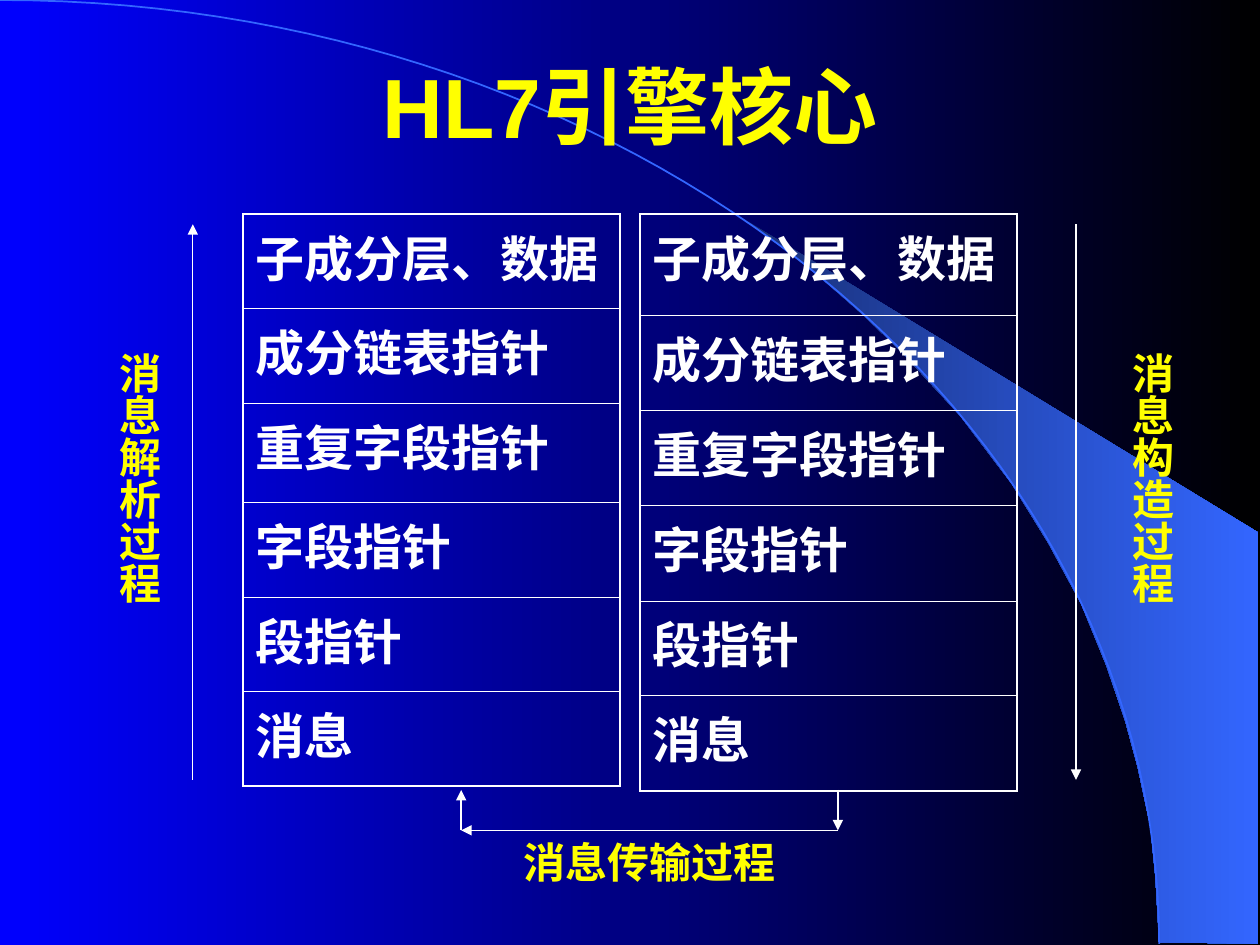
import pptx
import pptx.dml.color
import pptx.enum.shapes
import pptx.enum.text
import pptx.oxml
import pptx.oxml.ns
import pptx.util
from pptx.util import Inches

WHITE, YELLOW, BLUE = "FFFFFF", "FFFF00", "3366FF"


def color(hex_string):
    return pptx.dml.color.RGBColor.from_string(hex_string)


def style(paragraph, size, font_name, hex_string):
    for span in paragraph.runs:
        span.font.size = pptx.util.Pt(size)
        span.font.name = font_name
        span.font.bold = True
        span.font.color.rgb = color(hex_string)


deck = pptx.Presentation()
deck.slide_width, deck.slide_height = Inches(10), Inches(7.5)
page = deck.slides.add_slide(deck.slide_layouts[6])
shapes = page.shapes

# Background decoration: beam and arc
beam_points = [
    (9.2, 7.48), (9.99, 7.49), (9.99, 4.23), (5.89, 1.73), (6.24, 1.99),
    (6.53, 2.22), (6.85, 2.5), (7.16, 2.8), (7.62, 3.3), (8.03, 3.84),
    (8.32, 4.31), (8.58, 4.79), (8.78, 5.28), (8.93, 5.72), (9.03, 6.09),
    (9.13, 6.56), (9.17, 6.96),
]
arc_points = []
steps = 60
for step in range(steps + 1):
    t = step / steps
    x = 3 * (1 - t) ** 2 * t * 5.08 + 3 * (1 - t) * t ** 2 * 9.2 + t ** 3 * 9.2
    y = 3 * (1 - t) * t ** 2 * 3.35 + t ** 3 * 7.49
    arc_points.append((x, y))

outlines = []
for points, closed in ((beam_points, True), (arc_points, False)):
    corners = [(Inches(x), Inches(y)) for x, y in points]
    builder = shapes.build_freeform(*corners[0], scale=1.0)
    builder.add_line_segments(corners[1:], close=closed)
    outline = builder.convert_to_shape()
    outline.shadow.inherit = False
    outlines.append(outline)
beam, arc = outlines
beam.line.fill.background()
arc.fill.background()
arc.line.color.rgb = color(BLUE)
arc.line.width = pptx.util.Pt(1)

# Horizontal gradients of the page and the beam
for fill, stops in ((page.background.fill, ("0000FF", "000000")),
                    (beam.fill, ("182F76", BLUE))):
    fill.gradient()
    fill.gradient_angle = 0
    for stop, hex_string in zip(fill.gradient_stops, stops):
        stop.color.rgb = color(hex_string)

# Title
title = shapes.add_textbox(Inches(0.75), Inches(0.21), Inches(8.5), Inches(1.25))
title.text_frame.word_wrap = True
title.text_frame.vertical_anchor = pptx.enum.text.MSO_ANCHOR.MIDDLE
title.text_frame.text = "HL7引擎核心"
title.text_frame.paragraphs[0].alignment = pptx.enum.text.PP_ALIGN.CENTER
style(title.text_frame.paragraphs[0], 48, "Arial", YELLOW)

# Layer tables
layers = ["子成分层、数据", "成分链表指针", "重复字段指针", "字段指针", "段指针", "消息"]
for left, heights in ((1.93, (0.75, 0.75, 0.79, 0.75, 0.75, 0.75)),
                      (5.08, (0.8, 0.76, 0.75, 0.76, 0.75, 0.76))):
    frame = shapes.add_table(len(layers), 1, Inches(left), Inches(1.7),
                             Inches(2.99), Inches(sum(heights)))
    table = frame.table
    table.first_row = table.horz_banding = False
    for index, (layer, height) in enumerate(zip(layers, heights)):
        table.rows[index].height = Inches(height)
        cell = table.cell(index, 0)
        cell.text_frame.text = layer
        style(cell.text_frame.paragraphs[0], 28, "Times New Roman", WHITE)
        # Thick outside borders, thin lines between rows
        top = 1.08 if index == 0 else 0.45
        bottom = 1.08 if index == len(layers) - 1 else 0.45
        properties = cell._tc.get_or_add_tcPr()
        for side, width in (("L", 1.08), ("R", 1.08), ("T", top), ("B", bottom)):
            properties.append(pptx.oxml.parse_xml(
                f'<a:ln{side} {pptx.oxml.ns.nsdecls("a")} w="{pptx.util.Pt(width)}">'
                f'<a:solidFill><a:srgbClr val="{WHITE}"/></a:solidFill></a:ln{side}>'))
        cell.fill.background()

# Process labels
for text, left, top, width, height, vertical in (
        ("消息解析过程", 0.75, 2.7, 0.6, 2.1, True),
        ("消息构造过程", 8.39, 2.7, 1, 2.1, True),
        ("消息传输过程", 4.06, 6.59, 2.2, 0.5, False)):
    box = shapes.add_textbox(Inches(left), Inches(top), Inches(width), Inches(height))
    text_frame = box.text_frame
    text_frame.word_wrap = False
    text_frame.text = text
    style(text_frame.paragraphs[0], 24, "Times New Roman", YELLOW)
    if vertical:
        text_frame._txBody.bodyPr.set("vert", "eaVert")
        text_frame.margin_left = text_frame.margin_right = Inches(0.05)
        text_frame.margin_top = text_frame.margin_bottom = Inches(0.1)

# Process arrows
for x1, y1, x2, y2 in (
        (6.65, 6.27, 6.65, 6.59), (6.65, 6.59, 3.66, 6.59), (3.66, 6.59, 3.66, 6.27),
        (1.53, 6.19, 1.53, 1.78), (8.54, 1.78, 8.54, 6.19)):
    arrow = shapes.add_connector(pptx.enum.shapes.MSO_CONNECTOR.STRAIGHT,
                                 Inches(x1), Inches(y1), Inches(x2), Inches(y2))
    arrow.line.color.rgb = color(WHITE)
    arrow.line.width = pptx.util.Pt(0.75)
    namespace = pptx.oxml.ns.nsdecls("a")
    arrow.line._get_or_add_ln().append(
        pptx.oxml.parse_xml(f'<a:tailEnd {namespace} type="triangle"/>'))
    arrow._element.spPr.append(pptx.oxml.parse_xml(f"<a:effectLst {namespace}/>"))

deck.save("out.pptx")
